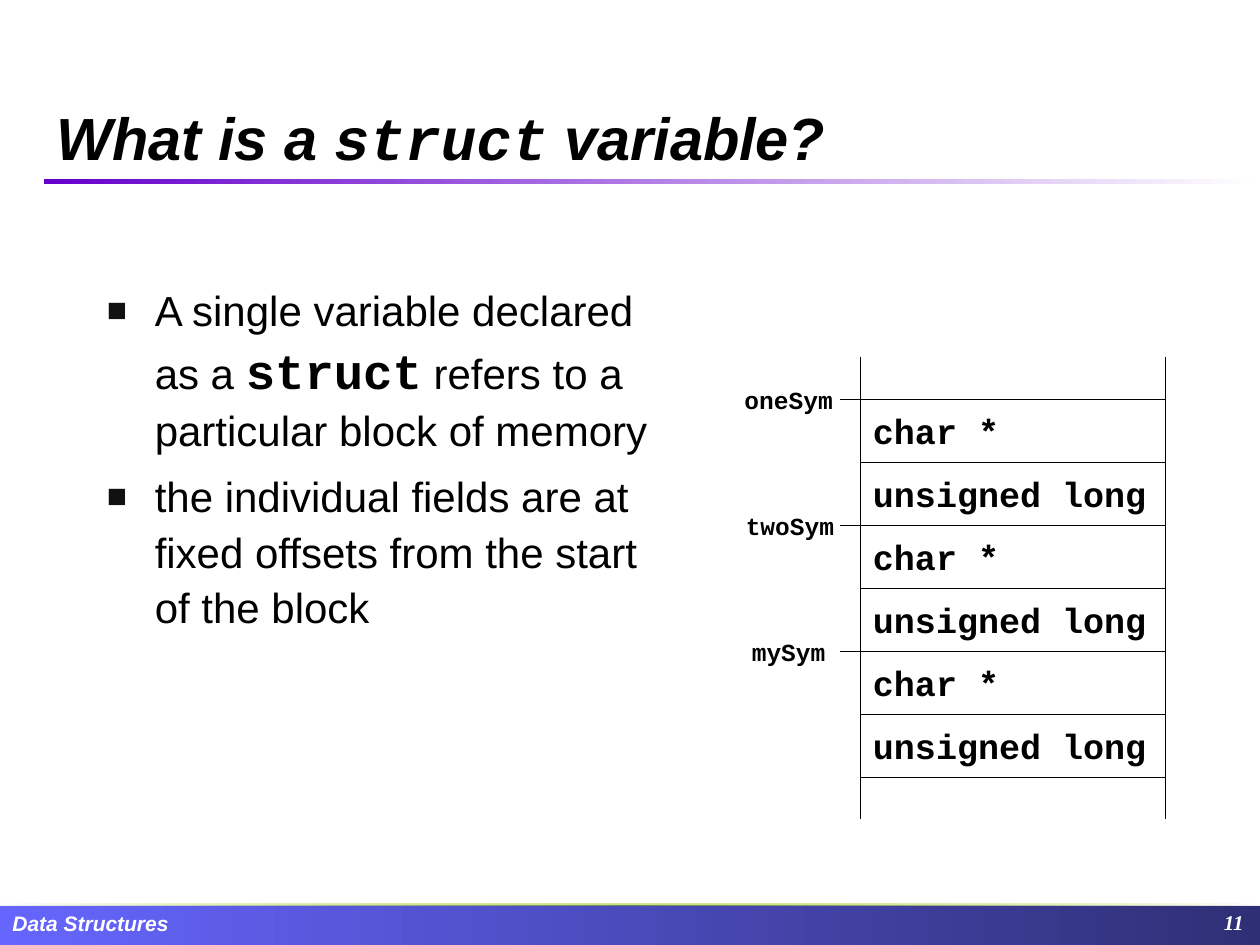
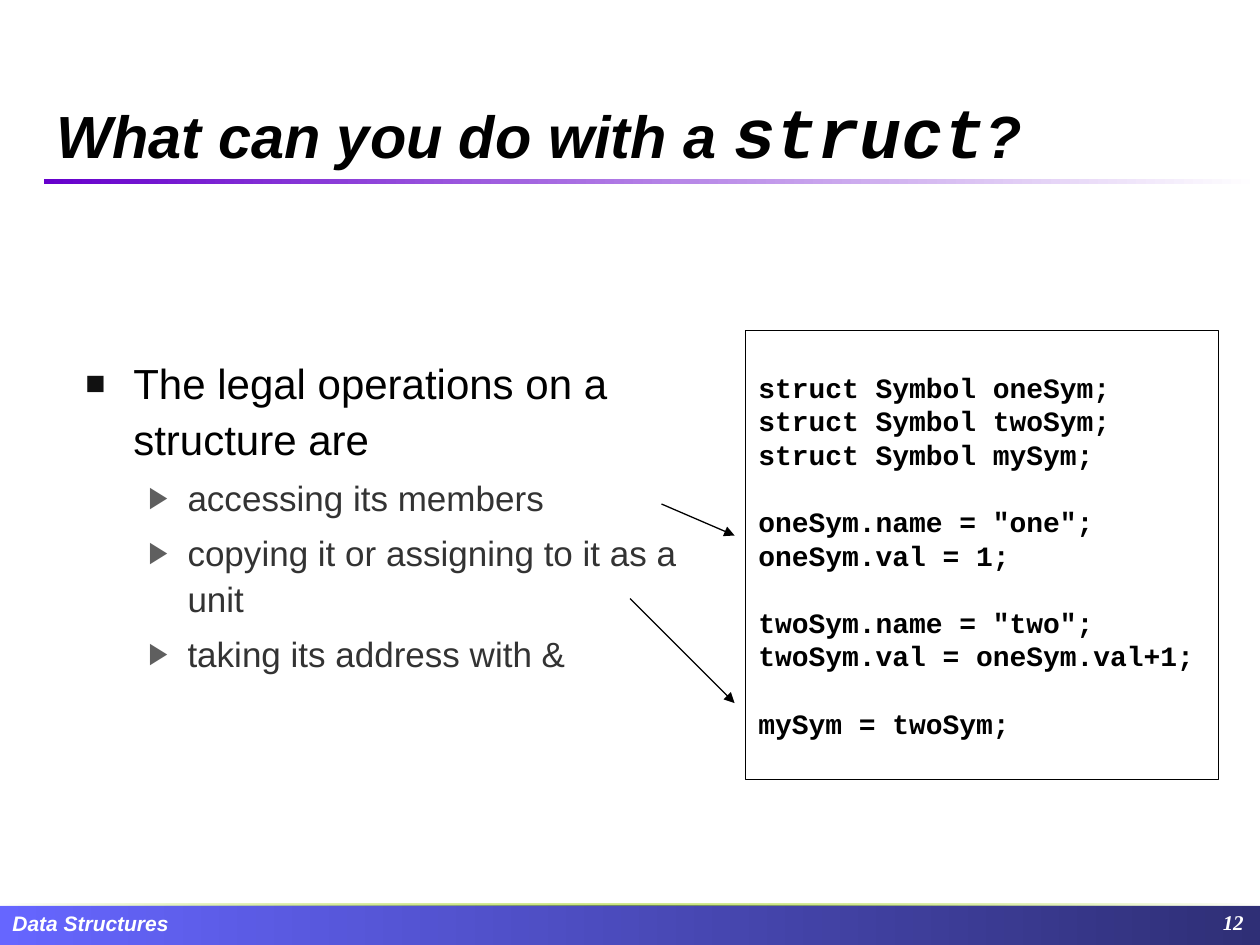
"""Build two slides about struct variables in a Data Structures course."""
from lxml.etree import SubElement
from pptx import Presentation
from pptx.dml.color import RGBColor
from pptx.enum.shapes import MSO_CONNECTOR, MSO_SHAPE
from pptx.enum.text import MSO_ANCHOR, PP_ALIGN
from pptx.oxml.ns import qn
from pptx.util import Inches, Pt

BLACK, WHITE, GRAY = "000000", "FFFFFF", "333333"
SANS, MONO, SERIF = "Arial", "Courier New", "Times New Roman"
COURSE = "Data Structures"
FIRST_NUMBER = 11

BANDS = [
    ((0, 7.18, 10, 0.32), [(0, "6666FF", 100), (100, "2F2F76", 100)]),
    ((0.35, 1.42, 9.65, 0.04), [(0, "6600CC", 100), (100, WHITE, 100)]),
    ((0, 7.17, 10, 0.02), [(0, WHITE, 100), (50, "99CC00", 50), (100, WHITE, 100)]),
]
TITLE = {"name": SANS, "size": 34, "bold": True, "italic": True, "color": BLACK}
FOOTER = {"name": SANS, "size": 12, "bold": True, "italic": True, "color": WHITE}
PAGE_NUMBER = {**FOOTER, "name": SERIF}
CODE = {"name": MONO, "size": 16, "bold": True, "color": BLACK}
FIELD = {**CODE, "size": 20}
LABEL = {**CODE, "size": 14}
LEVELS = [
    {"font": {"name": SANS, "size": 24, "color": BLACK}, "left": 0.38, "hanging": 0.38,
     "before": 6, "bullet": "■", "bullet_color": "111111", "bullet_size": 80},
    {"font": {"name": SANS, "size": 20, "color": GRAY}, "left": 0.81, "hanging": 0.31,
     "before": 5, "bullet": "▶", "bullet_color": "5F5F5F", "bullet_size": 85},
]

VARIABLE_TITLE = [("What is a ", {}), ("struct", {"name": MONO}), (" variable?", {})]
VARIABLE_POINTS = [
    (0, [("A single variable declared as a ", {}),
         ("struct", {"name": MONO, "size": 28, "bold": True}),
         (" refers to a particular block of memory", {})]),
    (0, [("the individual fields are at fixed offsets from the start of the block", {})]),
]
VARIABLES = [("oneSym", 6.26), ("twoSym", 6.27), ("mySym", 6.26)]
FIELDS = ["char *", "unsigned long"]

OPERATION_TITLE = [("What can you do with a ", {}),
                   ("struct", {"name": MONO, "size": 40}), ("?", {})]
OPERATION_POINTS = [
    (0, [("The legal operations on a structure are", {})]),
    (1, [("accessing its members", {})]),
    (1, [("copying it or assigning to it as a unit", {})]),
    (1, [("taking its address with &", {})]),
]
CODE_GROUPS = [
    ["struct Symbol oneSym;", "struct Symbol twoSym;", "struct Symbol mySym;"],
    ["oneSym.name = \"one\";", "oneSym.val = 1;"],
    ["twoSym.name = \"two\";", "twoSym.val = oneSym.val+1;"],
    ["mySym = twoSym;"],
]
ARROWS = [((5.25, 4), (5.83, 4.25)), ((5, 4.75), (5.83, 5.58))]

MEMORY_LEFT, MEMORY_RIGHT, TICK_LEFT = 6.83, 9.25, 6.67
MEMORY_TOP, MEMORY_BOTTOM, FIRST_FIELD_TOP = 2.83, 6.5, 3.17
FIELD_HEIGHT = 0.5
MONO_LEADING = 1.2


def rgb(color):
    return RGBColor.from_string(color)


def add_run(paragraph, text, style):
    run = paragraph.add_run()
    run.text = text
    for key, value in style.items():
        if key == "color":
            run.font.color.rgb = rgb(value)
        else:
            setattr(run.font, key, Pt(value) if key == "size" else value)


def set_frame(shape, anchor=MSO_ANCHOR.TOP, wrap=True):
    frame = shape.text_frame
    frame.word_wrap = wrap
    frame.vertical_anchor = anchor
    return frame


def add_text(slide, box, runs, style, align=PP_ALIGN.LEFT, **frame_format):
    shape = slide.shapes.add_textbox(*map(Inches, box))
    paragraph = set_frame(shape, **frame_format).paragraphs[0]
    paragraph.alignment = align
    for text, changes in runs:
        add_run(paragraph, text, {**style, **changes})
    return paragraph


def add_rectangle(slide, box):
    shape = slide.shapes.add_shape(MSO_SHAPE.RECTANGLE, *map(Inches, box))
    shape.shadow.inherit = False
    return shape


def add_outlined(slide, box):
    shape = add_rectangle(slide, box)
    shape.fill.background()
    shape.line.color.rgb = rgb(BLACK)
    shape.line.width = Pt(0.5)
    return shape


def add_band(slide, box, stops):
    shape = add_rectangle(slide, box)
    shape.line.fill.background()
    shape.fill.gradient()
    shape.fill.gradient_angle = 0
    stop_list = shape.element.spPr.find(qn("a:gradFill")).find(qn("a:gsLst"))
    stop_list.clear()
    for position, color, opacity in stops:
        stop = SubElement(stop_list, qn("a:gs"), pos=str(position * 1000))
        color_element = SubElement(stop, qn("a:srgbClr"), val=color)
        if opacity < 100:
            SubElement(color_element, qn("a:alpha"), val=str(opacity * 1000))


def add_line(slide, start, end, arrow=False):
    line = slide.shapes.add_connector(MSO_CONNECTOR.STRAIGHT, *map(Inches, start + end))
    line.line.color.rgb = rgb(BLACK)
    line.line.width = Pt(0.75)
    if arrow:
        SubElement(line.line._get_or_add_ln(), qn("a:tailEnd"), type="triangle")
    SubElement(line._element.spPr, qn("a:effectLst"))


def add_points(slide, box, points):
    frame = set_frame(slide.shapes.add_textbox(*map(Inches, box)))
    for index, (depth, runs) in enumerate(points):
        level = LEVELS[depth]
        paragraph = frame.add_paragraph() if index else frame.paragraphs[0]
        paragraph.level = depth
        properties = paragraph._p.get_or_add_pPr()
        properties.set("marL", str(Inches(level["left"])))
        properties.set("indent", str(-Inches(level["hanging"])))
        bullet_color = SubElement(properties, qn("a:buClr"))
        SubElement(bullet_color, qn("a:srgbClr"), val=level["bullet_color"])
        SubElement(properties, qn("a:buSzPct"), val=str(level["bullet_size"] * 1000))
        SubElement(properties, qn("a:buFont"), typeface=SANS)
        SubElement(properties, qn("a:buChar"), char=level["bullet"])
        paragraph.line_spacing = 1.1
        paragraph.space_before = Pt(level["before"] if index else 0)
        for text, changes in runs:
            add_run(paragraph, text, {**level["font"], **changes})


def add_memory(slide):
    for index, (variable, center) in enumerate(VARIABLES):
        top = FIRST_FIELD_TOP + index * len(FIELDS) * FIELD_HEIGHT
        for row, field in enumerate(FIELDS):
            box = (MEMORY_LEFT, top + row * FIELD_HEIGHT,
                   MEMORY_RIGHT - MEMORY_LEFT, FIELD_HEIGHT)
            shape = add_outlined(slide, box)
            paragraph = set_frame(shape, MSO_ANCHOR.MIDDLE, False).paragraphs[0]
            paragraph.alignment = PP_ALIGN.LEFT
            paragraph.line_spacing = Pt(FIELD["size"] * MONO_LEADING)
            add_run(paragraph, field, FIELD)
        add_line(slide, (TICK_LEFT, top), (MEMORY_RIGHT, top))
        label = add_text(slide, (center - 0.45, top - 0.17, 0.9, 0.34), [(variable, {})],
                         LABEL, PP_ALIGN.CENTER, anchor=MSO_ANCHOR.MIDDLE, wrap=False)
        label.line_spacing = Pt(LABEL["size"] * MONO_LEADING)
    for side in (MEMORY_LEFT, MEMORY_RIGHT):
        add_line(slide, (side, MEMORY_TOP), (side, MEMORY_BOTTOM))


def add_code(slide, box):
    frame = set_frame(add_outlined(slide, box), MSO_ANCHOR.MIDDLE)
    leading = Pt(CODE["size"] * MONO_LEADING)
    for group_index, group in enumerate(CODE_GROUPS):
        for line_index, text in enumerate(group):
            first = group_index == line_index == 0
            paragraph = frame.paragraphs[0] if first else frame.add_paragraph()
            paragraph.alignment = PP_ALIGN.LEFT
            paragraph.line_spacing = leading
            paragraph.space_before = leading if group_index and not line_index else 0
            add_run(paragraph, text, CODE)


def add_slide(presentation, title):
    slide = presentation.slides.add_slide(presentation.slide_layouts[6])
    for box, stops in BANDS:
        add_band(slide, box, stops)
    number = FIRST_NUMBER + len(presentation.slides) - 1
    add_text(slide, (0, 7.18, 3.11, 0.3), [(COURSE, {})], FOOTER)
    add_text(slide, (7.41, 7.17, 2.56, 0.32), [(str(number), {})], PAGE_NUMBER,
             PP_ALIGN.RIGHT)
    add_text(slide, (0.35, 0.13, 9.29, 1.29), title, TITLE, anchor=MSO_ANCHOR.BOTTOM)
    return slide


def main():
    presentation = Presentation()
    presentation.slide_width, presentation.slide_height = Inches(10), Inches(7.5)

    slide = add_slide(presentation, VARIABLE_TITLE)
    add_points(slide, (0.75, 2.17, 4.75, 4.42), VARIABLE_POINTS)
    add_memory(slide)

    slide = add_slide(presentation, OPERATION_TITLE)
    add_points(slide, (0.58, 2.75, 4.92, 3.75), OPERATION_POINTS)
    add_code(slide, (5.92, 2.62, 3.75, 3.57))
    for start, end in ARROWS:
        add_line(slide, start, end, arrow=True)

    presentation.save("out.pptx")


if __name__ == "__main__":
    main()
